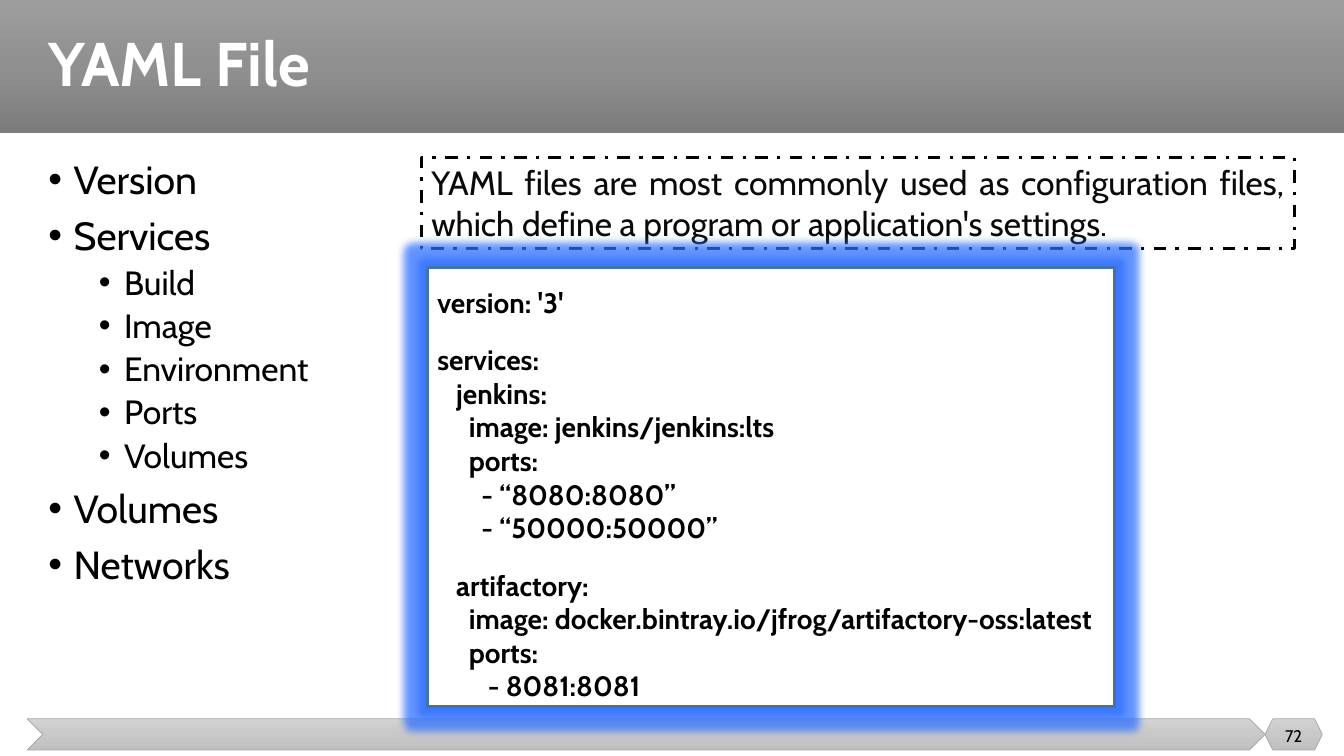
import copy
import pptx
import pptx.util
import pptx.dml.color
import pptx.enum.dml
import pptx.enum.shapes
import pptx.enum.text
import pptx.oxml
import pptx.oxml.ns

Pt = pptx.util.Pt
RGBColor = pptx.dml.color.RGBColor
Shape = pptx.enum.shapes.MSO_SHAPE
Align = pptx.enum.text.PP_ALIGN
Anchor = pptx.enum.text.MSO_ANCHOR

WHITE = RGBColor(0xFF, 0xFF, 0xFF)
BLACK = RGBColor(0, 0, 0)
INK = RGBColor(0x0A, 0x0A, 0x0A)
CODE_BORDER = RGBColor(0x43, 0x73, 0x9E)
BAR_BORDER = RGBColor(0xA5, 0xA5, 0xA5)
BAND_STOPS = [RGBColor(0x9D, 0x9D, 0x9D), RGBColor(0x90, 0x90, 0x90), RGBColor(0x7C, 0x7C, 0x7C)]
BAR_STOPS = [RGBColor(0xD2, 0xD2, 0xD2), RGBColor(0xC8, 0xC8, 0xC8), RGBColor(0xC0, 0xC0, 0xC0)]


def place(shape, left, top, width, height):
    box = {"left": left, "top": top, "width": width, "height": height}
    for name, value in box.items():
        setattr(shape, name, Pt(value))


def write(paragraph, text, size, color, bold=False, **layout):
    paragraph.text = text
    for name, value in layout.items():
        setattr(paragraph, name, value)
    font = {"name": "Cabin", "size": Pt(size), "bold": bold}
    for name, value in font.items():
        setattr(paragraph.font, name, value)
    paragraph.font.color.rgb = color


presentation = pptx.Presentation()
presentation.slide_width = Pt(960)
presentation.slide_height = Pt(540)
slide = presentation.slides.add_slide(presentation.slide_layouts[1])
title = slide.shapes.title
body = slide.placeholders[1]

decorations = [
    (Shape.RECTANGLE, (0, 0, 960, 95), BAND_STOPS, None),
    (Shape.CHEVRON, (19.4, 513.4, 884.2, 22.3), BAR_STOPS, BAR_BORDER),
    (Shape.HEXAGON, (903.6, 513.4, 41, 22.3), BAR_STOPS, BAR_BORDER),
]
for kind, box, colors, border in decorations:
    shape = slide.shapes.add_shape(kind, *map(Pt, box))
    shape.shadow.inherit = False
    shape.fill.gradient()
    shape.fill.gradient_angle = 270
    stop_list = shape.element.spPr.find(".//" + pptx.oxml.ns.qn("a:gsLst"))
    stop_list.insert(1, copy.deepcopy(stop_list[0]))
    for index, (stop, color) in enumerate(zip(shape.fill.gradient_stops, colors)):
        stop.position = index / 2
        stop.color.rgb = color
    if border is None:
        shape.line.fill.background()
    else:
        shape.line.color.rgb = border
        shape.line.width = Pt(0.5)
    title.element.addprevious(shape.element)

place(title, 27.4, 0, 917.3, 95)
title.text_frame.vertical_anchor = Anchor.MIDDLE
write(title.text_frame.paragraphs[0], "YAML File", 44, WHITE, True,
      alignment=Align.LEFT, line_spacing=0.9)

place(body, 27.4, 110.9, 917.3, 373.7)
body.text_frame.auto_size = pptx.enum.text.MSO_AUTO_SIZE.NONE
topics = [
    ("Version", 0), ("Services", 0), ("Build", 1), ("Image", 1), ("Environment", 1),
    ("Ports", 1), ("Volumes", 1), ("Volumes", 0), ("Networks", 0),
]
level_formats = [(28, 18, 10), (24, 54, 5)]
for index, (topic, level) in enumerate(topics):
    size, margin, gap = level_formats[level]
    paragraph = body.text_frame.add_paragraph() if index else body.text_frame.paragraphs[0]
    properties = paragraph._p.get_or_add_pPr()
    properties.set("marL", str(Pt(margin)))
    properties.set("indent", str(Pt(-18)))
    for tag, attribute, value in [("buFont", "typeface", "Arial"), ("buChar", "char", "•")]:
        bullet = pptx.oxml.parse_xml(f'<a:{tag} {pptx.oxml.ns.nsdecls("a")} {attribute}="{value}"/>')
        properties.append(bullet)
    write(paragraph, topic, size, BLACK, level=level, line_spacing=0.9,
          space_before=Pt(gap if index else 0), space_after=Pt(0))

page_number = slide.shapes.add_textbox(Pt(903.6), Pt(511.2), Pt(41), Pt(28.8))
page_number.text_frame.word_wrap = True
page_number.text_frame.vertical_anchor = Anchor.MIDDLE
write(page_number.text_frame.paragraphs[0], "72", 12, BLACK, alignment=Align.CENTER)

definition = slide.shapes.add_shape(Shape.RECTANGLE, Pt(301), Pt(112.3), Pt(623.5), Pt(65.5))
definition.shadow.inherit = False
definition.fill.background()
definition.line.color.rgb = BLACK
definition.line.width = Pt(2.25)
definition.line.dash_style = pptx.enum.dml.MSO_LINE.DASH_DOT
definition.text_frame.word_wrap = True
definition.text_frame.vertical_anchor = Anchor.TOP
write(definition.text_frame.paragraphs[0],
      "YAML files are most commonly used as configuration files, "
      "which define a program or application's settings.",
      24, INK, alignment=Align.JUSTIFY)

code_box = slide.shapes.add_shape(Shape.RECTANGLE, Pt(305.3), Pt(190.8), Pt(491), Pt(313.9))
code_box.shadow.inherit = False
code_box.fill.solid()
code_box.fill.fore_color.rgb = WHITE
code_box.line.color.rgb = CODE_BORDER
code_box.line.width = Pt(2.25)
effects = code_box.element.spPr.find(pptx.oxml.ns.qn("a:effectLst"))
effects.append(pptx.oxml.parse_xml(
    f'<a:glow {pptx.oxml.ns.nsdecls("a")} rad="{Pt(11)}">'
    '<a:srgbClr val="3070FF"><a:alpha val="75000"/></a:srgbClr></a:glow>'))
frame_format = {"word_wrap": True, "vertical_anchor": Anchor.MIDDLE,
                "margin_top": Pt(12), "margin_bottom": Pt(2)}
for name, value in frame_format.items():
    setattr(code_box.text_frame, name, value)
code_blocks = [
    ["version: '3'"],
    ["services:", "   jenkins:", "     image: jenkins/jenkins:lts", "     ports:",
     "       - “8080:8080”", "       - “50000:50000”"],
    ["   artifactory:", "     image: docker.bintray.io/jfrog/artifactory-oss:latest",
     "     ports:", "        - 8081:8081"],
]
for block_index, block in enumerate(code_blocks):
    for line_index, line in enumerate(block):
        first = block_index == line_index == 0
        paragraph = code_box.text_frame.paragraphs[0] if first else code_box.text_frame.add_paragraph()
        gap = 17 if block_index and line_index == 0 else 0
        write(paragraph, line, 20, BLACK, True, alignment=Align.LEFT, space_before=Pt(gap))

presentation.save("out.pptx")
